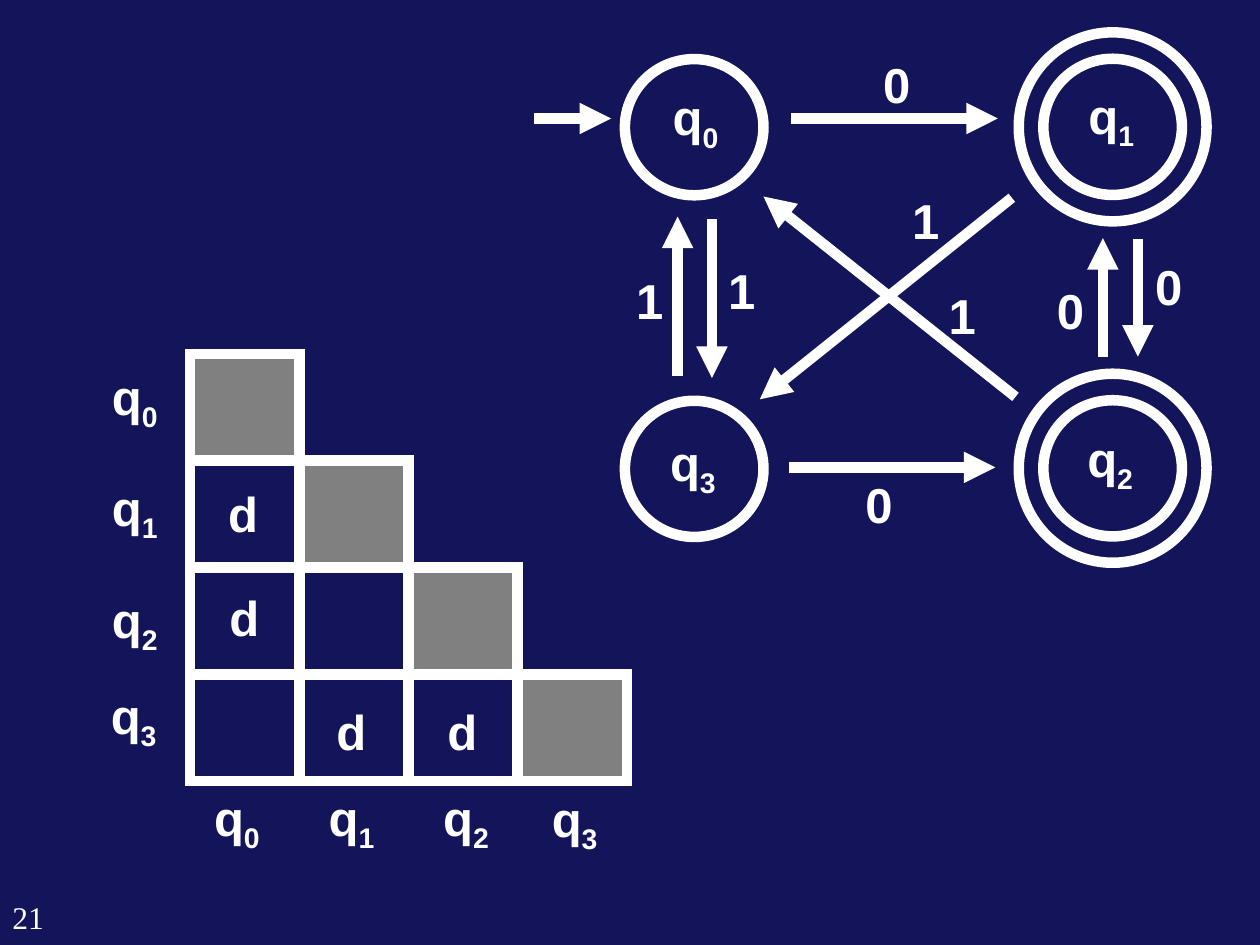
import dataclasses
import typing

import pptx
import pptx.dml.color
import pptx.enum.shapes
import pptx.enum.text
import pptx.oxml.ns
import pptx.util
import lxml.etree

Pt = pptx.util.Pt
Shape = pptx.enum.shapes.MSO_SHAPE
Anchor = pptx.enum.text.MSO_ANCHOR
Align = pptx.enum.text.PP_ALIGN

NAVY = pptx.dml.color.RGBColor(0x14, 0x14, 0x5A)
WHITE = pptx.dml.color.RGBColor(0xFF, 0xFF, 0xFF)
GRAY = pptx.dml.color.RGBColor(0x80, 0x80, 0x80)

STROKE = 6
GRID_LEFT, GRID_TOP = 108.7, 202.3
CELL_WIDTH, CELL_HEIGHT = 62.4, 61
STATE_SIZE = (79.2, 77.8)
ACCEPT_SIZE = (107.3, 108)


@dataclasses.dataclass(frozen=True)
class State:
    center_x: float
    center_y: float
    accepting: bool


@dataclasses.dataclass(frozen=True)
class Arrow:
    start_x: float
    start_y: float
    end_x: float
    end_y: float


@dataclasses.dataclass(frozen=True)
class Label:
    text: str
    left: float
    top: float
    subscript: str = ""


STATES = [
    State(396.7, 72.7, False),
    State(635.8, 72.5, True),
    State(635.8, 267.6, True),
    State(396.7, 267.9, False),
]
ARROWS = [
    Arrow(305.3, 67.7, 349.2, 67.7),
    Arrow(452.2, 67.7, 570.2, 67.7),
    Arrow(450.7, 267.1, 568.8, 267.1),
    Arrow(406.8, 125.3, 406.8, 216),
    Arrow(387.2, 215.1, 387.2, 123.8),
    Arrow(650.2, 136.8, 650.2, 203.8),
    Arrow(630.2, 203.8, 630.2, 136.1),
    Arrow(580.3, 226.8, 436.3, 112.3),
    Arrow(578.2, 113, 434.2, 228.2),
]
TRANSITION_LABELS = [
    Label("1", 409, 145.4),
    Label("1", 356.4, 151.2),
    Label("1", 514.1, 105.1),
    Label("1", 535, 159.8),
    Label("0", 487.4, 267.8),
    Label("0", 497.5, 27.4),
    Label("0", 653, 143.3),
    Label("0", 596.9, 157),
]
MARKS = [
    Label("d", 123.1, 272.9),
    Label("d", 123.8, 331.9),
    Label("d", 185, 397.4),
    Label("d", 248.4, 397.4),
]
STATE_LABEL_PLACES = [(377.3, 46.1), (614.9, 45.4), (614.2, 241.2), (375.8, 243.4)]
ROW_LABEL_PLACES = [(56.9, 205.9), (56.9, 269.3), (56.9, 333.4), (56.2, 388.1)]
COLUMN_LABEL_PLACES = [(115.2, 446.4), (180.7, 446.4), (246.2, 446.4), (308.2, 447.1)]


def add_text(
    page: typing.Any,
    text: str,
    left: float,
    top: float,
    width: float,
    height: float,
    *,
    subscript: str = "",
    font: str = "Arial",
    size: float = 28,
    bold: bool = True,
    align: typing.Any = Align.CENTER,
    anchor: typing.Any = Anchor.TOP,
) -> None:
    box = page.shapes.add_textbox(Pt(left), Pt(top), Pt(width), Pt(height))
    frame = box.text_frame
    frame.word_wrap = False
    frame.vertical_anchor = anchor
    para = frame.paragraphs[0]
    para.alignment = align
    for part in filter(None, (text, subscript)):
        span = para.add_run()
        span.text = part
        span.font.name = font
        span.font.size = Pt(size)
        span.font.bold = bold
        span.font.color.rgb = WHITE
    if subscript:
        span.font._element.set("baseline", "-25000")


def add_outlined(
    page: typing.Any,
    kind: typing.Any,
    left: float,
    top: float,
    width: float,
    height: float,
    fill: typing.Optional[pptx.dml.color.RGBColor] = None,
) -> None:
    shape = page.shapes.add_shape(kind, Pt(left), Pt(top), Pt(width), Pt(height))
    shape.shadow.inherit = False
    if fill is None:
        shape.fill.background()
    else:
        shape.fill.solid()
        shape.fill.fore_color.rgb = fill
    shape.line.color.rgb = WHITE
    shape.line.width = Pt(STROKE)
    outline = shape.line._get_or_add_ln()
    lxml.etree.SubElement(outline, pptx.oxml.ns.qn("a:miter"), lim="800000")


def add_state(page: typing.Any, state: State) -> None:
    sizes = [STATE_SIZE, ACCEPT_SIZE] if state.accepting else [STATE_SIZE]
    for width, height in sizes:
        left = state.center_x - width / 2
        top = state.center_y - height / 2
        add_outlined(page, Shape.OVAL, left, top, width, height)


def add_arrow(page: typing.Any, arrow: Arrow) -> None:
    line = page.shapes.add_connector(
        pptx.enum.shapes.MSO_CONNECTOR.STRAIGHT,
        Pt(arrow.start_x), Pt(arrow.start_y), Pt(arrow.end_x), Pt(arrow.end_y),
    )
    line.line.color.rgb = WHITE
    line.line.width = Pt(STROKE)
    outline = line.line._get_or_add_ln()
    lxml.etree.SubElement(outline, pptx.oxml.ns.qn("a:tailEnd"), type="triangle")
    lxml.etree.SubElement(line._element.spPr, pptx.oxml.ns.qn("a:effectLst"))


def add_label(page: typing.Any, label: Label, width: float, height: float) -> None:
    add_text(page, label.text, label.left, label.top, width, height, subscript=label.subscript)


def add_grid(page: typing.Any, size: int) -> None:
    for row in range(size):
        for column in range(row + 1):
            left = GRID_LEFT + column * CELL_WIDTH
            top = GRID_TOP + row * CELL_HEIGHT
            fill = GRAY if row == column else None
            add_outlined(page, Shape.RECTANGLE, left, top, CELL_WIDTH, CELL_HEIGHT, fill)


def main() -> None:
    deck = pptx.Presentation()
    deck.slide_width, deck.slide_height = Pt(720), Pt(540)
    page = deck.slides.add_slide(deck.slide_layouts[6])
    page.background.fill.solid()
    page.background.fill.fore_color.rgb = NAVY

    add_text(page, "21", 0, 507.6, 41, 32.4, font="Times New Roman", size=18,
             bold=False, align=Align.LEFT, anchor=Anchor.MIDDLE)
    for state in STATES:
        add_state(page, state)
    for arrow in ARROWS:
        add_arrow(page, arrow)
    for label in TRANSITION_LABELS:
        add_label(page, label, 29.5, 41)
    add_grid(page, len(STATES))
    for mark in MARKS:
        add_label(page, mark, 31.7, 41)
    for places in (ROW_LABEL_PLACES, COLUMN_LABEL_PLACES, STATE_LABEL_PLACES):
        for index, (left, top) in enumerate(places):
            add_label(page, Label("q", left, top, str(index)), 40.3, 45.4)
    deck.save("out.pptx")


if __name__ == "__main__":
    main()
